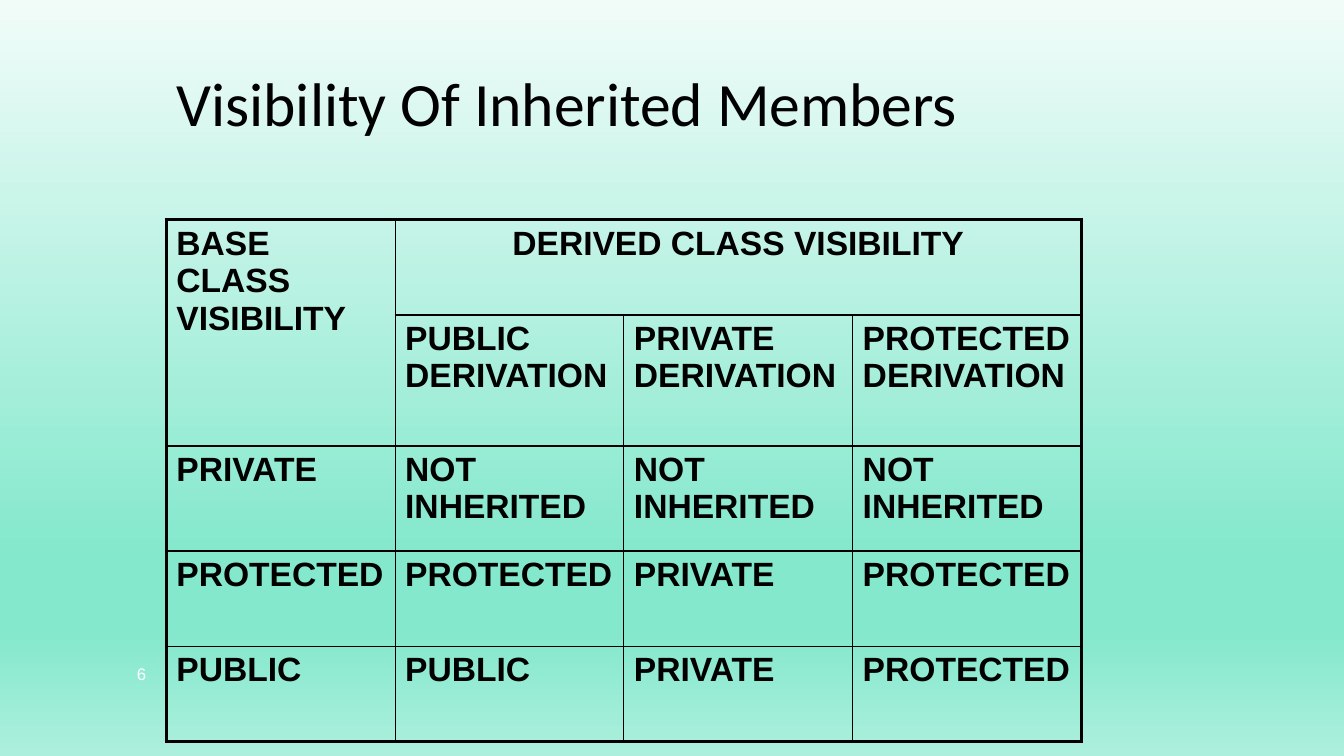
"""Build the slide on the visibility of inherited members."""
from dataclasses import dataclass

from lxml import etree
from pptx import Presentation
from pptx.dml.color import RGBColor
from pptx.enum import text
from pptx.oxml import ns
from pptx.util import Pt


@dataclass(frozen=True)
class Theme:
    """Colours, fonts, type sizes and line widths."""
    ink: str = "000000"
    number: str = "FFFFFF"
    backdrop: tuple = ((0, "F1FCF9"), (74, "83E8CC"), (83, "83E8CC"), (100, "ACEFDD"))
    title_font: str = "Calibri"
    body_font: str = "Arial"
    title_size: int = 44
    cell_size: int = 24
    number_size: int = 12
    inner_line: float = 1
    outer_line: float = 2.25


THEME = Theme()
COLUMN_WIDTH = 163.44
ROW_HEIGHTS = (68, 88, 75, 68, 68)
VISIBILITY = (
    ("BASE CLASS VISIBILITY", "DERIVED CLASS VISIBILITY", "", ""),
    ("", "PUBLIC DERIVATION", "PRIVATE DERIVATION", "PROTECTED DERIVATION"),
    ("PRIVATE", "NOT INHERITED", "NOT INHERITED", "NOT INHERITED"),
    ("PROTECTED", "PROTECTED", "PRIVATE", "PROTECTED"),
    ("PUBLIC", "PUBLIC", "PRIVATE", "PROTECTED"),
)


def add_element(parent, tag, **attributes):
    """Append a DrawingML element and return it."""
    return etree.SubElement(parent, ns.qn(tag), attributes)


def add_fill(parent, color):
    """Append a solid fill to an XML element."""
    add_element(add_element(parent, "a:solidFill"), "a:srgbClr", val=color)


def style_paragraph(p, font, size, color, align, bold=False):
    """Set the font and alignment of a paragraph."""
    p.alignment = align
    p.font.name = font
    p.font.size = Pt(size)
    p.font.bold = bold
    p.font.color.rgb = RGBColor.from_string(color)


def paint_background(s):
    """Fill the slide with a vertical gradient."""
    fill = s.background.fill
    fill.gradient()
    fill.gradient_angle = 270
    stops = s.element.find(".//" + ns.qn("a:gsLst"))
    for stop in list(stops):
        stops.remove(stop)
    for position, color in THEME.backdrop:
        stop = add_element(stops, "a:gs", pos=str(position * 1000))
        add_element(stop, "a:srgbClr", val=color)


def set_title(s, title):
    """Place and format the title placeholder."""
    sp = s.shapes.title
    sp.left, sp.top, sp.width, sp.height = Pt(118.8), Pt(31), Pt(624), Pt(90)
    tf = sp.text_frame
    tf.text = title
    tf.word_wrap = True
    tf.auto_size = text.MSO_AUTO_SIZE.NONE
    tf.vertical_anchor = text.MSO_ANCHOR.MIDDLE
    p = tf.paragraphs[0]
    p.line_spacing = 0.9
    style_paragraph(p, THEME.title_font, THEME.title_size, THEME.ink, text.PP_ALIGN.LEFT)


def add_slide_number(s, number):
    """Add the slide number at the lower left."""
    tf = s.shapes.add_textbox(Pt(65.5), Pt(462), Pt(46), Pt(38)).text_frame
    tf.text = number
    tf.word_wrap = True
    tf.vertical_anchor = text.MSO_ANCHOR.MIDDLE
    style_paragraph(tf.paragraphs[0], THEME.body_font, THEME.number_size,
                    THEME.number, text.PP_ALIGN.RIGHT)


def set_borders(cell, outer_edges):
    """Draw the four cell borders, heavier on the outer edges."""
    tc_pr = cell._tc.get_or_add_tcPr()
    for index, side in enumerate("LRTB"):
        width = THEME.outer_line if side in outer_edges else THEME.inner_line
        line = add_element(tc_pr, f"a:ln{side}", w=str(Pt(width)))
        add_fill(line, THEME.ink)
        tc_pr.insert(index, line)


def add_table(s, rows):
    """Add the visibility table with its merged headings."""
    n_rows, n_cols = len(rows), len(rows[0])
    table = s.shapes.add_table(n_rows, n_cols, Pt(118.8), Pt(157),
                               Pt(COLUMN_WIDTH * n_cols), Pt(sum(ROW_HEIGHTS))).table
    table.first_row = table.horz_banding = False
    for column in table.columns:
        column.width = Pt(COLUMN_WIDTH)
    for row, height in zip(table.rows, ROW_HEIGHTS):
        row.height = Pt(height)
    table.cell(0, 0).merge(table.cell(1, 0))
    table.cell(0, 1).merge(table.cell(0, n_cols - 1))
    for i, row in enumerate(rows):
        for j, label in enumerate(row):
            cell = table.cell(i, j)
            cell.text = label
            cell.fill.background()
            align = text.PP_ALIGN.CENTER if (i, j) == (0, 1) else text.PP_ALIGN.LEFT
            style_paragraph(cell.text_frame.paragraphs[0], THEME.body_font,
                            THEME.cell_size, THEME.ink, align, bold=True)
            edges = {"L": j == 0, "R": j == n_cols - 1, "T": i == 0, "B": i == n_rows - 1}
            if cell.is_merge_origin:
                edges["R"] = j + cell.span_width == n_cols
            set_borders(cell, [side for side, outer in edges.items() if outer])


def main():
    """Build and save the presentation."""
    prs = Presentation()
    prs.slide_width, prs.slide_height = Pt(960), Pt(540)
    s = prs.slides.add_slide(prs.slide_layouts[5])
    paint_background(s)
    add_slide_number(s, "6")
    set_title(s, "Visibility Of Inherited Members")
    add_table(s, VISIBILITY)
    prs.save("out.pptx")


if __name__ == "__main__":
    main()
